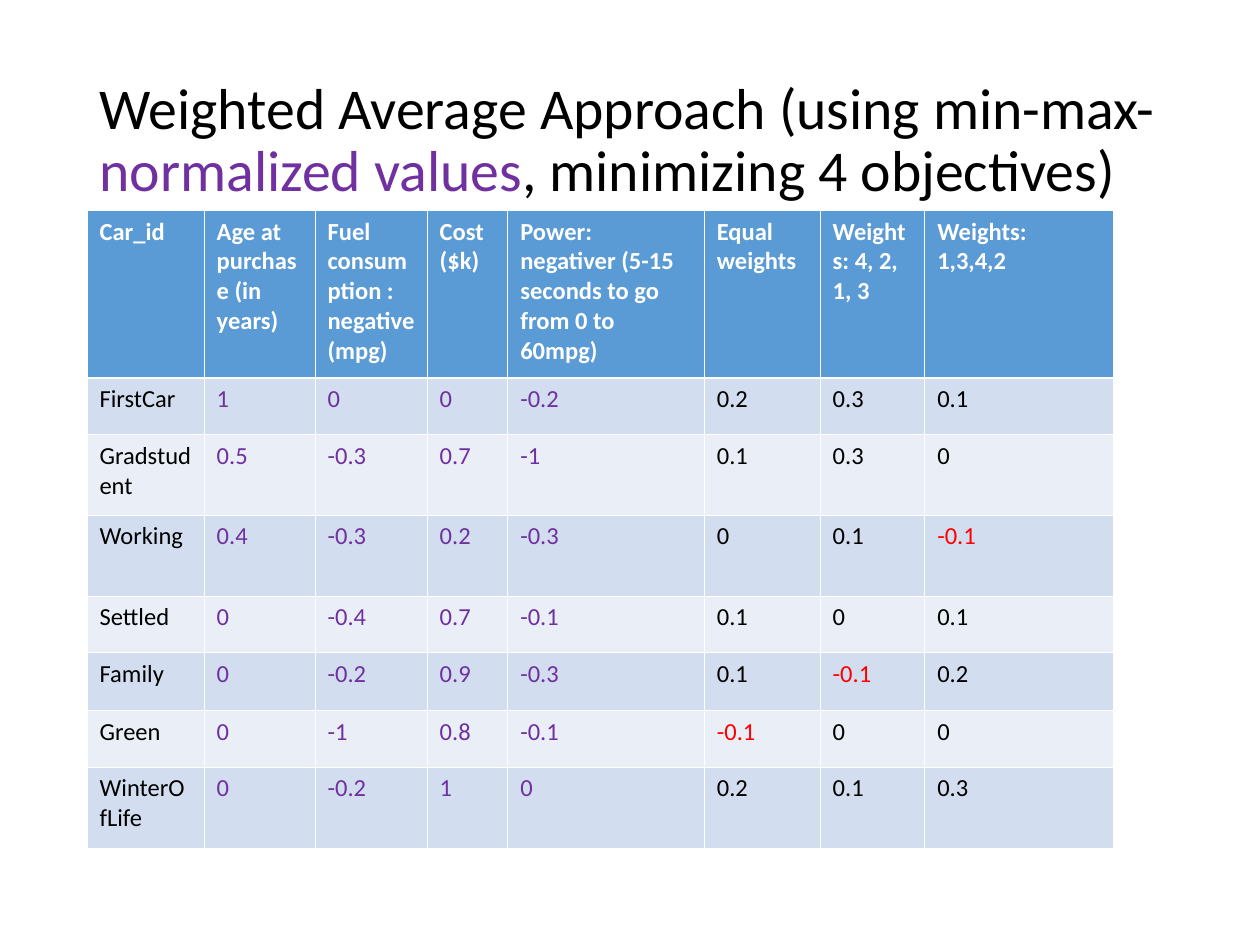
from dataclasses import dataclass

from lxml.etree import SubElement
from pptx import Presentation
from pptx.dml.color import RGBColor
from pptx.enum.text import MSO_ANCHOR, MSO_AUTO_SIZE, PP_ALIGN
from pptx.oxml.ns import qn
from pptx.util import Inches, Pt


@dataclass(frozen=True)
class Theme:
    """Colours, font and type sizes of the slide."""
    font: str = "Calibri"
    title_size: float = 33
    cell_size: float = 14
    text: str = "000000"
    normalized: str = "7030A0"
    best: str = "FF0000"
    white: str = "FFFFFF"
    header: str = "5B9BD5"
    bands: tuple = ("D2DEEF", "EAEFF7")
    thin: float = 0.45
    thick: float = 1.47


THEME = Theme()

TITLE = [
    ("Weighted Average Approach (using min-max-", THEME.text),
    ("normalized values", THEME.normalized),
    (", minimizing 4 objectives)", THEME.text),
]
COL_WIDTHS = [0.93, 0.88, 0.89, 0.64, 1.56, 0.92, 0.83, 1.5]
ROW_HEIGHTS = [1.33, 0.45, 0.64, 0.64, 0.45, 0.46, 0.45, 0.64]
FIRST_SCORE_COL = 5
CARS = [
    ["Car_id", "Age at purchase (in years)", "Fuel consumption : negative(mpg)",
     "Cost ($k)", "Power: negativer (5-15 seconds to go from 0 to 60mpg)",
     "Equal weights", "Weights: 4, 2, 1, 3", "Weights: 1,3,4,2"],
    ["FirstCar", "1", "0", "0", "-0.2", "0.2", "0.3", "0.1"],
    ["Gradstudent", "0.5", "-0.3", "0.7", "-1", "0.1", "0.3", "0"],
    ["Working", "0.4", "-0.3", "0.2", "-0.3", "0", "0.1", "-0.1"],
    ["Settled", "0", "-0.4", "0.7", "-0.1", "0.1", "0", "0.1"],
    ["Family", "0", "-0.2", "0.9", "-0.3", "0.1", "-0.1", "0.2"],
    ["Green", "0", "-1", "0.8", "-0.1", "-0.1", "0", "0"],
    ["WinterOfLife", "0", "-0.2", "1", "0", "0.2", "0.1", "0.3"],
]


def add_run(p, text, size, color, bold=False):
    """Append one formatted run to a paragraph."""
    r = p.add_run()
    r.text = text
    r.font.name = THEME.font
    r.font.size = Pt(size)
    r.font.bold = bold
    r.font.color.rgb = RGBColor.from_string(color)


def add_border(cell, side, width):
    """Draw a white line on one side of a cell."""
    ln = SubElement(cell._tc.get_or_add_tcPr(), qn(f"a:ln{side}"), w=str(Pt(width)))
    fill = SubElement(ln, qn("a:solidFill"))
    SubElement(fill, qn("a:srgbClr"), val=THEME.white)


def text_color(row, col, text):
    """Return the colour that a value takes from its place and sign."""
    if row == 0:
        return THEME.white
    if col >= FIRST_SCORE_COL:
        return THEME.best if text.startswith("-") else THEME.text
    return THEME.normalized if col else THEME.text


def fill_cell(cell, row, col, text):
    """Write and format one table cell."""
    for side in "LRTB":
        under_header = (row, side) in ((0, "B"), (1, "T"))
        add_border(cell, side, THEME.thick if under_header else THEME.thin)
    cell.fill.solid()
    color = THEME.bands[(row - 1) % 2] if row else THEME.header
    cell.fill.fore_color.rgb = RGBColor.from_string(color)
    add_run(cell.text_frame.paragraphs[0], text, THEME.cell_size,
            text_color(row, col, text), bold=row == 0)


def place_title(s, left, top, width, height):
    """Place the two-colour title in its placeholder."""
    sp = s.shapes.title
    sp.left, sp.top, sp.width, sp.height = map(Inches, (left, top, width, height))
    tf = sp.text_frame
    tf.word_wrap = True
    tf.auto_size = MSO_AUTO_SIZE.NONE
    tf.vertical_anchor = MSO_ANCHOR.MIDDLE
    p = tf.paragraphs[0]
    p.alignment = PP_ALIGN.LEFT
    p.line_spacing = 0.9
    for text, color in TITLE:
        add_run(p, text, THEME.title_size, color)


def place_car_table(s, left, top, width, height):
    """Place the table of cars, objectives and weighted scores."""
    table = s.shapes.add_table(len(CARS), len(COL_WIDTHS), Inches(left), Inches(top),
                               Inches(width), Inches(height)).table
    for column, col_width in zip(table.columns, COL_WIDTHS):
        column.width = Inches(col_width)
    for row, row_height in zip(table.rows, ROW_HEIGHTS):
        row.height = Inches(row_height)
    for i, values in enumerate(CARS):
        for j, text in enumerate(values):
            fill_cell(table.cell(i, j), i, j, text)


def main():
    """Build the slide and save it."""
    prs = Presentation()
    prs.slide_width, prs.slide_height = Inches(10), Inches(7.5)
    s = prs.slides.add_slide(prs.slide_layouts[5])
    place_title(s, 0.69, 0.4, 8.63, 1.45)
    place_car_table(s, 0.69, 1.67, sum(COL_WIDTHS), sum(ROW_HEIGHTS))
    prs.save("out.pptx")


if __name__ == "__main__":
    main()
